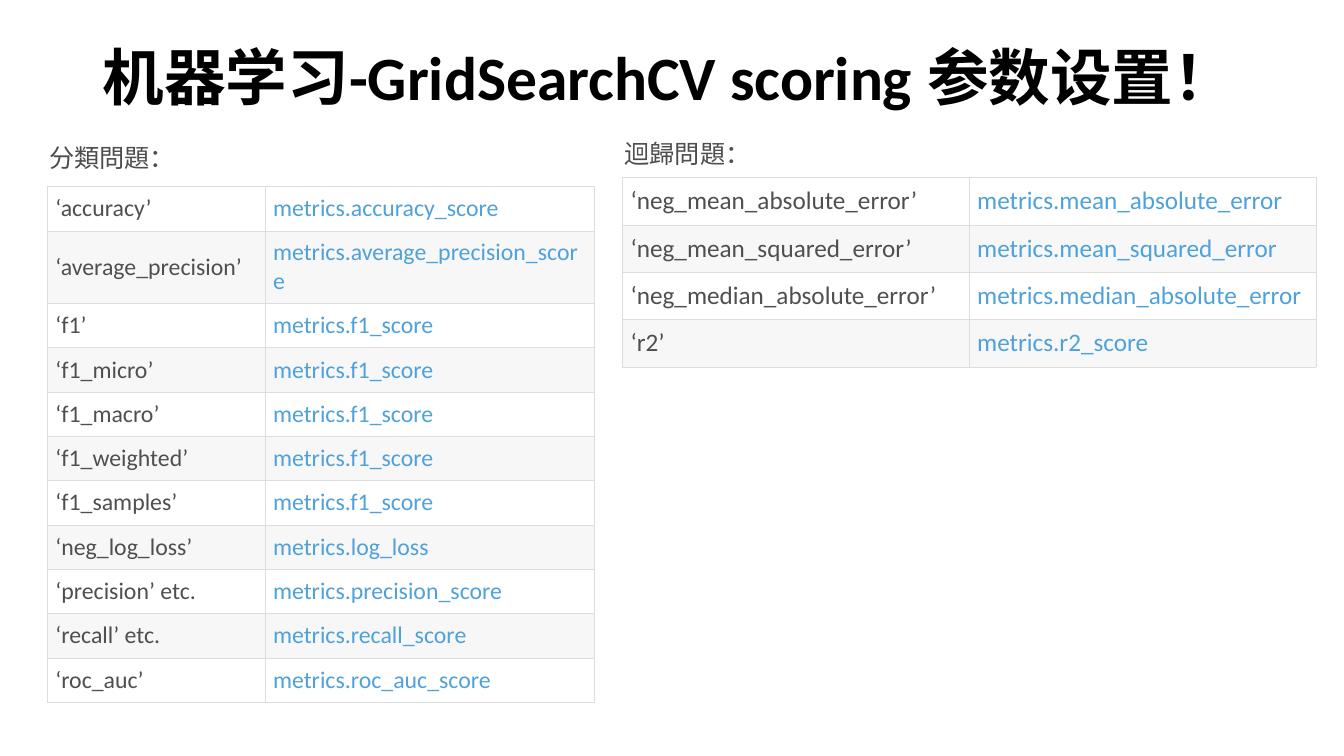
import pptx
import pptx.dml.color
import pptx.enum.text
import pptx.oxml
import pptx.oxml.ns
import pptx.util
from dataclasses import dataclass

Inches = pptx.util.Inches
Pt = pptx.util.Pt
MIDDLE = pptx.enum.text.MSO_ANCHOR.MIDDLE


@dataclass(frozen=True)
class Theme:
    black: str = "000000"
    label: str = "4D4D4D"
    name: str = "4F4F4F"
    link: str = "4EA1DB"
    rule: str = "DDDDDD"
    bands: tuple = ("FFFFFF", "F7F7F7")
    body: str = "Calibri"
    head: str = "Arial"
    title: int = 44
    large: int = 18
    small: int = 17
    line: float = 0.34


THEME = Theme()

CLASSES = [
    ("‘accuracy’", "metrics.accuracy_score"),
    ("‘average_precision’", "metrics.average_precision_score"),
    ("‘f1’", "metrics.f1_score"),
    ("‘f1_micro’", "metrics.f1_score"),
    ("‘f1_macro’", "metrics.f1_score"),
    ("‘f1_weighted’", "metrics.f1_score"),
    ("‘f1_samples’", "metrics.f1_score"),
    ("‘neg_log_loss’", "metrics.log_loss"),
    ("‘precision’ etc.", "metrics.precision_score"),
    ("‘recall’ etc.", "metrics.recall_score"),
    ("‘roc_auc’", "metrics.roc_auc_score"),
]
ERRORS = [
    ("‘neg_mean_absolute_error’", "metrics.mean_absolute_error"),
    ("‘neg_mean_squared_error’", "metrics.mean_squared_error"),
    ("‘neg_median_absolute_error’", "metrics.median_absolute_error"),
    ("‘r2’", "metrics.r2_score"),
]


def rgb(code):
    return pptx.dml.color.RGBColor.from_string(code)


def write(frame, text, size, color, font=THEME.body, bold=False, spacing=None):
    """Put one formatted paragraph into a text frame."""
    para = frame.paragraphs[0]
    if spacing:
        para.line_spacing = spacing
    run = para.add_run()
    run.text = text
    run.font.size = Pt(size)
    run.font.name = font
    run.font.bold = bold
    run.font.color.rgb = rgb(color)


def add_box(slide, box):
    frame = slide.shapes.add_textbox(*map(Inches, box)).text_frame
    frame.word_wrap = True
    return frame


def add_rules(cell):
    """Draw a thin line on all four sides of a cell."""
    props = cell._tc.get_or_add_tcPr()
    space = pptx.oxml.ns.nsdecls("a")
    for side in ("lnL", "lnR", "lnT", "lnB"):
        props.append(pptx.oxml.parse_xml(
            f'<a:{side} {space} w="{int(Pt(THEME.line))}"><a:solidFill>'
            f'<a:srgbClr val="{THEME.rule}"/></a:solidFill></a:{side}>'))


def add_title(slide, box, text):
    frame = add_box(slide, box)
    frame.vertical_anchor = MIDDLE
    # Lift the two lines above the middle, clear of the tables
    frame.margin_bottom = Inches(0.71)
    write(frame, text, THEME.title, THEME.black, bold=True, spacing=0.9)


def add_scores(slide, box, label, rows, widths, size, height, tall=None):
    """Place a label and, below it, a table of scorers."""
    left, top, width, depth = box

    # Label
    frame = add_box(slide, (left - 0.08, top, 2.1, 0.4))
    frame.auto_size = pptx.enum.text.MSO_AUTO_SIZE.SHAPE_TO_FIT_TEXT
    write(frame, label, THEME.large, THEME.label, font=THEME.head)

    # Table
    grid = (left, top + 0.49 if tall else top + 0.44, width, depth)
    table = slide.shapes.add_table(len(rows), 2, *map(Inches, grid)).table
    table.first_row = table.horz_banding = False
    for column, span in zip(table.columns, widths):
        column.width = Inches(span)
    for i, row in enumerate(rows):
        table.rows[i].height = Inches((tall or {}).get(i, height))
        for j, color in enumerate((THEME.name, THEME.link)):
            cell = table.cell(i, j)
            cell.margin_left = cell.margin_right = Inches(0.08)
            cell.margin_top = cell.margin_bottom = Inches(0.05)
            cell.vertical_anchor = MIDDLE
            add_rules(cell)
            cell.fill.solid()
            cell.fill.fore_color.rgb = rgb(THEME.bands[i % 2])
            write(cell.text_frame, row[j], size, color)


def main():
    deck = pptx.Presentation()
    deck.slide_width, deck.slide_height = Inches(13.34), Inches(7.5)
    slide = deck.slides.add_slide(deck.slide_layouts[6])
    add_title(slide, (0.92, 0.4, 11.5, 1.45),
              "机器学习-GridSearchCV scoring 参数设置！")
    add_scores(slide, (0.47, 1.36, 5.43, 5.1), "分類問題：", CLASSES,
               (2.16, 3.27), THEME.small, 0.44, tall={1: 0.72})
    add_scores(slide, (6.18, 1.32, 6.88, 1.87), "迴歸問題：", ERRORS,
               (3.44, 3.44), THEME.large, 0.47)
    deck.save("out.pptx")


if __name__ == "__main__":
    main()
